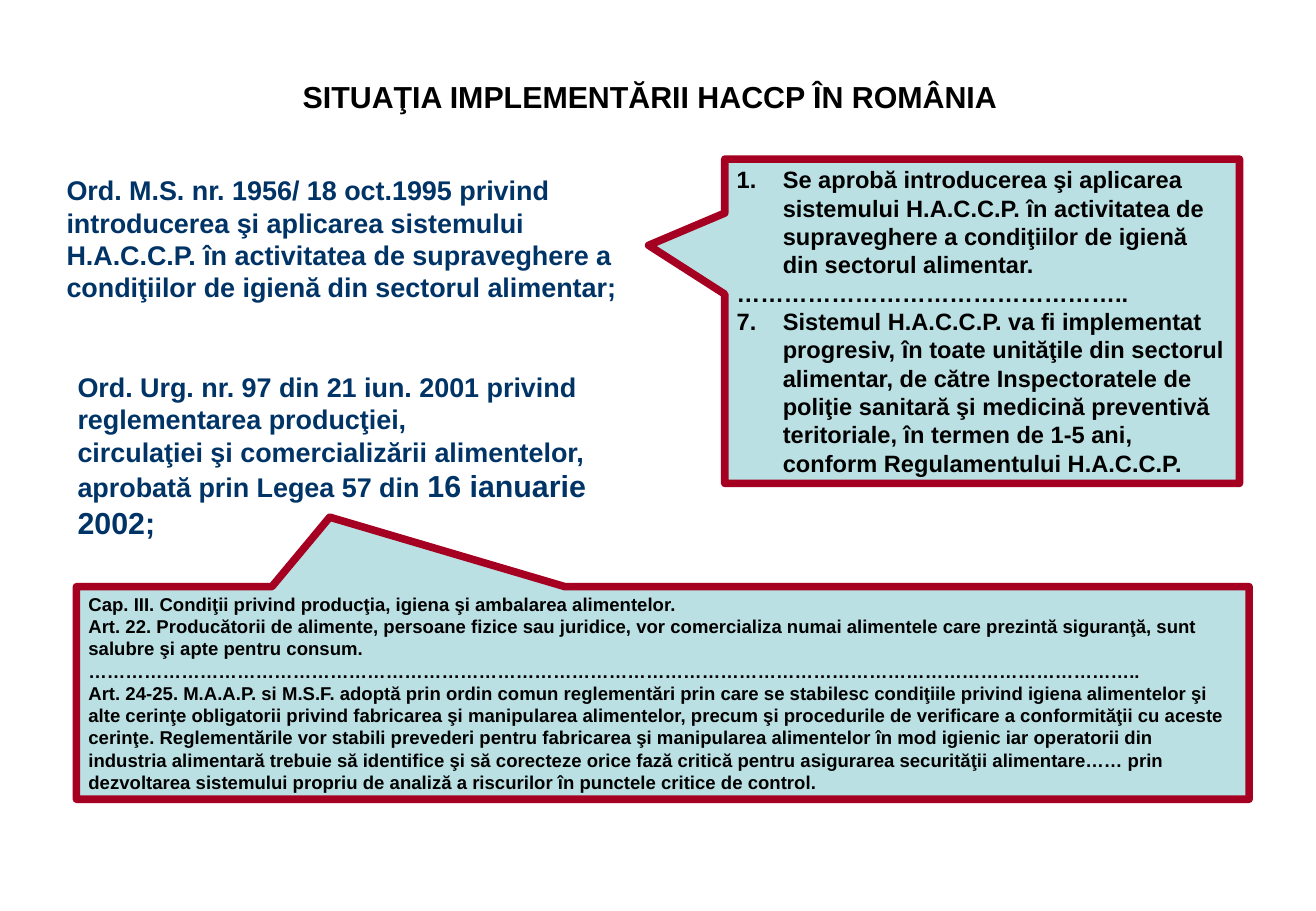
from pptx import Presentation
from pptx.dml.color import RGBColor
from pptx.enum.shapes import MSO_SHAPE
from pptx.enum.text import MSO_ANCHOR, MSO_AUTO_SIZE, PP_ALIGN
from pptx.oxml.ns import qn
from pptx.util import Inches, Pt
from lxml.etree import SubElement

BLACK = RGBColor(0x00, 0x00, 0x00)
NAVY = RGBColor(0x00, 0x33, 0x66)
PALE_TEAL = RGBColor(0xBB, 0xE0, 0xE3)
CRIMSON = RGBColor(0xA5, 0x00, 0x21)
HANGING = Inches(0.38)

TITLE = "SITUAŢIA IMPLEMENTĂRII HACCP ÎN ROMÂNIA"

ORDERS = [
    {"at": (0.45, 1.38, 5.06, 1.17), "paras": [
        [("Ord. M.S. nr. 1956/ 18 oct.1995 privind introducerea şi aplicarea sistemului H.A.C.C.P. "
          "în activitatea de supraveghere a condiţiilor de igienă din sectorul alimentar;", 16)],
    ]},
    {"at": (0.54, 3, 4.78, 1.5), "paras": [
        [("Ord. Urg. nr. 97 din 21 iun. 2001 privind reglementarea producţiei,", 16)],
        [("circulaţiei şi comercializării alimentelor, aprobată prin Legea 57 din ", 16),
         ("16 ianuarie 2002;", 18)],
    ]},
]

CALLOUTS = [
    {"at": (5.97, 1.31, 4.24, 2.67), "tip": (-0.648, -0.234), "numbers": {0: 1, 2: 7}, "paras": [
        [("Se aprobă introducerea şi aplicarea sistemului H.A.C.C.P. în activitatea de "
          "supraveghere a condiţiilor de igienă din sectorul alimentar.", 14)],
        [("…………………………………………..", 14)],
        [("Sistemul H.A.C.C.P. va fi implementat progresiv, în toate unităţile din sectorul "
          "alimentar, de către Inspectoratele de poliţie sanitară şi medicină preventivă "
          "teritoriale, în termen de 1-5 ani, conform Regulamentului H.A.C.C.P.", 14)],
    ]},
    {"at": (0.63, 4.83, 9.66, 1.75), "tip": (-0.284, -0.827), "numbers": {}, "paras": [
        [("Cap. III. Condiţii privind producţia, igiena şi ambalarea alimentelor.", 11)],
        [("Art. 22. Producătorii de alimente, persoane fizice sau juridice, vor comercializa "
          "numai alimentele care prezintă siguranţă, sunt salubre şi apte pentru consum.", 11)],
        [("……………………………………………………………………………………………………………………………………………………..", 11)],
        [("Art. 24-25. M.A.A.P. si M.S.F. adoptă prin ordin comun reglementări prin care se "
          "stabilesc condiţiile privind igiena alimentelor şi alte cerinţe obligatorii privind "
          "fabricarea şi manipularea alimentelor, precum şi procedurile de verificare a "
          "conformităţii cu aceste cerinţe. Reglementările vor stabili prevederi pentru "
          "fabricarea şi manipularea alimentelor în mod igienic iar operatorii din industria "
          "alimentară trebuie să identifice şi să corecteze orice fază critică pentru asigurarea "
          "securităţii alimentare…… prin dezvoltarea sistemului propriu de analiză a riscurilor "
          "în punctele critice de control.", 11)],
    ]},
]


def number_para(para, start):
    props = para._p.get_or_add_pPr()
    props.set("marL", str(HANGING))
    props.set("indent", str(-HANGING))
    SubElement(props, qn("a:buAutoNum"), type="arabicPeriod", startAt=str(start))


def write_text(shape, paras, color, anchor, align=PP_ALIGN.LEFT, numbers={}):
    frame = shape.text_frame
    frame.word_wrap = True
    frame.auto_size = MSO_AUTO_SIZE.NONE
    frame.vertical_anchor = anchor
    for index, spans in enumerate(paras):
        para = frame.add_paragraph() if index else frame.paragraphs[0]
        para.alignment = align
        if index in numbers:
            number_para(para, numbers[index])
        for text, size in spans:
            span = para.add_run()
            span.text = text
            span.font.name = "Arial"
            span.font.size = Pt(size)
            span.font.bold = True
            span.font.color.rgb = color


def add_callout(page, content):
    callout = page.shapes.add_shape(MSO_SHAPE.RECTANGULAR_CALLOUT, *map(Inches, content["at"]))
    callout.adjustments[0], callout.adjustments[1] = content["tip"]
    callout.shadow.inherit = False
    callout.fill.solid()
    callout.fill.fore_color.rgb = PALE_TEAL
    callout.line.color.rgb = CRIMSON
    callout.line.width = Pt(4.5)
    write_text(callout, content["paras"], BLACK, MSO_ANCHOR.TOP, numbers=content["numbers"])


def main():
    deck = Presentation()
    deck.slide_width, deck.slide_height = Inches(10.84), Inches(7.5)
    page = deck.slides.add_slide(deck.slide_layouts[5])

    title = page.shapes.title
    title.left, title.top, title.width, title.height = map(Inches, (1.9, 0.59, 6.91, 0.4))
    write_text(title, [[(TITLE, 18)]], BLACK, MSO_ANCHOR.MIDDLE, PP_ALIGN.CENTER)

    for order in ORDERS:
        box = page.shapes.add_textbox(*map(Inches, order["at"]))
        write_text(box, order["paras"], NAVY, MSO_ANCHOR.MIDDLE)

    for content in CALLOUTS:
        add_callout(page, content)

    deck.save("out.pptx")


if __name__ == "__main__":
    main()
